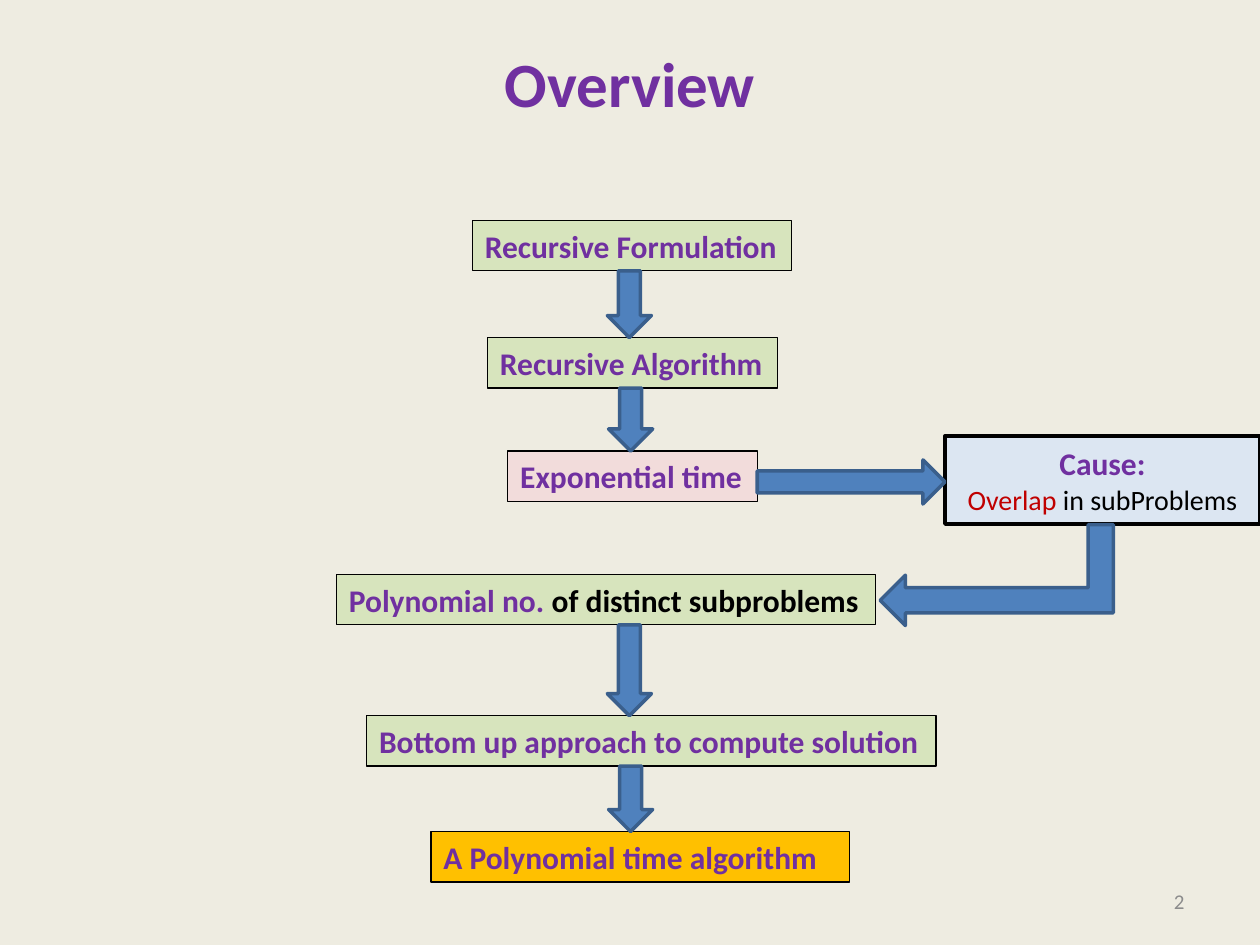
from pptx import Presentation
from pptx.dml.color import RGBColor
from pptx.enum.shapes import MSO_SHAPE
from pptx.enum.text import MSO_ANCHOR, PP_ALIGN
from pptx.util import Inches, Pt

PURPLE, BLACK, RED, GREY = "7030A0", "000000", "C00000", "8C8C8C"
GREEN, PINK, ORANGE, PALE_BLUE = "D7E4BD", "F2DCDB", "FFC000", "DCE6F2"
ARROW_FILL, ARROW_LINE = "4F81BD", "3A5F8C"
BOX_HEIGHT, ARROW_WIDTH = 0.4, 0.35

# Flow steps: left, top, width, fill, runs of (text, colour)
STEPS = [
    (3.75, 1.75, 2.53, GREEN, [("Recursive Formulation", PURPLE)]),
    (3.87, 2.68, 2.3, GREEN, [("Recursive Algorithm", PURPLE)]),
    (4.03, 3.58, 1.98, PINK, [("Exponential time", PURPLE)]),
    (2.67, 4.56, 4.28, GREEN, [("Polynomial no. ", PURPLE),
                               ("of distinct subproblems", BLACK)]),
    (2.91, 5.68, 4.52, GREEN, [("Bottom up approach to compute solution", PURPLE)]),
    (3.42, 6.6, 3.32, ORANGE, [("A Polynomial time algorithm", PURPLE)]),
]
# Steps followed directly by a down arrow, with the arrow's left edge
DOWN_ARROWS = {0: 4.82, 1: 4.83, 3: 4.82, 4: 4.83}


def color(hex_string):
    return RGBColor.from_string(hex_string)


def write(shape, paragraphs, align=PP_ALIGN.LEFT, anchor=MSO_ANCHOR.TOP):
    """Each paragraph is a list of (text, size, colour, bold) runs."""
    frame = shape.text_frame
    frame.word_wrap = True
    frame.vertical_anchor = anchor
    for i, runs in enumerate(paragraphs):
        paragraph = frame.paragraphs[0] if i == 0 else frame.add_paragraph()
        paragraph.alignment = align
        for text, size, hue, bold in runs:
            run = paragraph.add_run()
            run.text = text
            font = run.font
            font.name, font.size, font.bold = "Calibri", Pt(size), bold
            font.color.rgb = color(hue)


def add_label(slide, box, run, align, anchor):
    write(slide.shapes.add_textbox(*map(Inches, box)), [[run]], align, anchor)


def add_shape(slide, kind, box, fill, line, line_width):
    shape = slide.shapes.add_shape(kind, *map(Inches, box))
    shape.shadow.inherit = False
    shape.fill.solid()
    shape.fill.fore_color.rgb = color(fill)
    shape.line.color.rgb = color(line)
    shape.line.width = Pt(line_width)
    return shape


def add_step(slide, left, top, width, fill, runs):
    box = (left, top, width, BOX_HEIGHT)
    shape = add_shape(slide, MSO_SHAPE.RECTANGLE, box, fill, BLACK, 0.75)
    shape.text_frame.margin_right = 0
    write(shape, [[(text, 18, hue, True) for text, hue in runs]])


def add_arrow(slide, kind, box, rotation=0):
    arrow = add_shape(slide, kind, box, ARROW_FILL, ARROW_LINE, 2)
    arrow.rotation = rotation
    return arrow


def add_cause(slide):
    callout = add_shape(slide, MSO_SHAPE.LINE_CALLOUT_2, (7.5, 3.46, 2.5, 0.7),
                        PALE_BLUE, BLACK, 2)
    for i, value in enumerate((0.49, -0.01, 0.48, 0, 0.5, 0)):
        callout.adjustments[i] = value
    write(callout, [[("Cause:", 18, PURPLE, True)],
                    [("Overlap ", 16, RED, False),
                     ("in subProblems", 16, BLACK, False)]],
          PP_ALIGN.CENTER, MSO_ANCHOR.MIDDLE)


def main():
    prs = Presentation()
    prs.slide_width, prs.slide_height = Inches(10), Inches(7.5)
    slide = prs.slides.add_slide(prs.slide_layouts[6])
    slide.background.fill.solid()
    slide.background.fill.fore_color.rgb = color("EEECE1")

    # Title and slide number
    add_label(slide, (0.5, 0.3, 9, 1.25), ("Overview", 36, PURPLE, True),
              PP_ALIGN.CENTER, MSO_ANCHOR.TOP)
    add_label(slide, (7.17, 6.95, 2.33, 0.4), ("2", 12, GREY, False),
              PP_ALIGN.RIGHT, MSO_ANCHOR.MIDDLE)

    # Boxes
    for step in STEPS:
        add_step(slide, *step)
    add_cause(slide)

    # Down arrows fill the gap between one step and the next
    for i, left in DOWN_ARROWS.items():
        top = STEPS[i][1] + BOX_HEIGHT
        add_arrow(slide, MSO_SHAPE.DOWN_ARROW,
                  (left, top, ARROW_WIDTH, STEPS[i + 1][1] - top))

    # Detour to the cause and back
    add_arrow(slide, MSO_SHAPE.DOWN_ARROW, (6.58, 3.08, ARROW_WIDTH, 1.49), 270)
    back = add_arrow(slide, MSO_SHAPE.BENT_UP_ARROW, (7.51, 3.64, 0.8, 1.85), 270)
    back.element.spPr.xfrm.set("flipH", "1")

    prs.save("out.pptx")


main()
